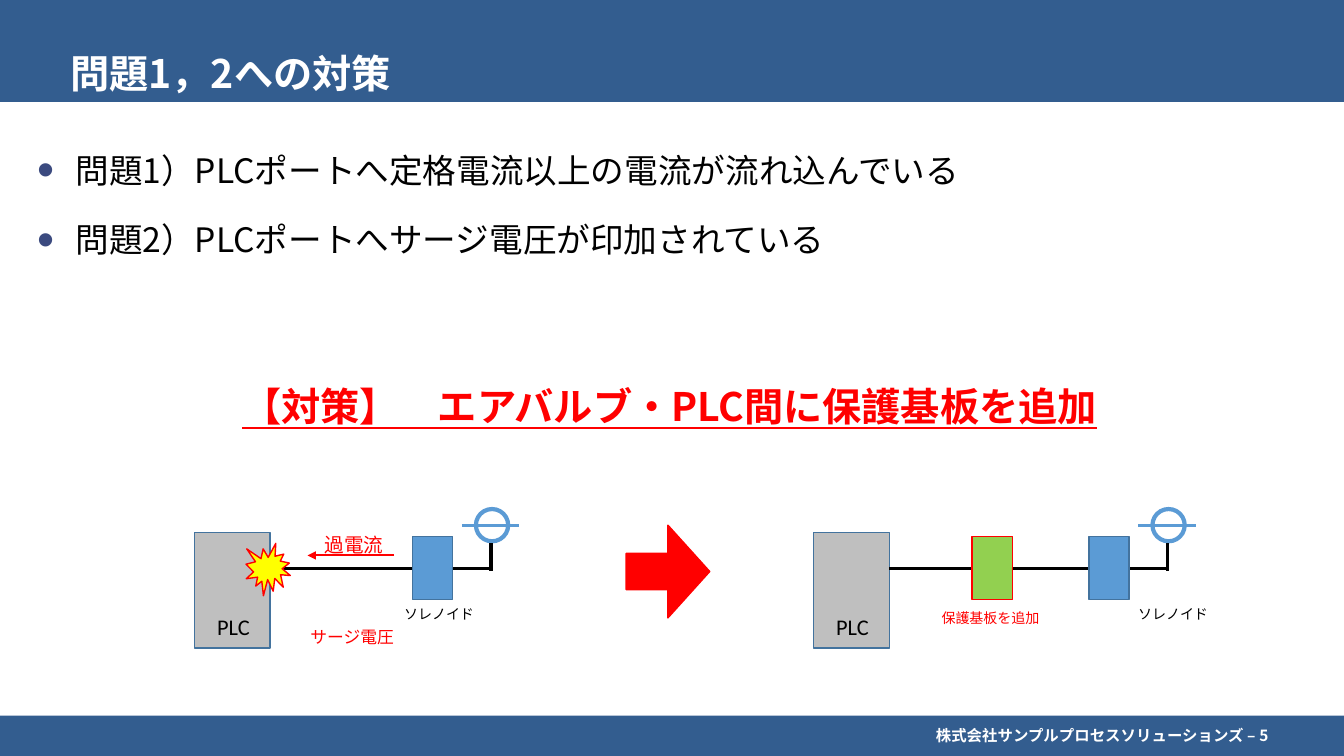
from pptx import Presentation
from pptx.dml.color import RGBColor
from pptx.enum.shapes import MSO_CONNECTOR, MSO_SHAPE
from pptx.enum.text import MSO_ANCHOR, PP_ALIGN
from pptx.oxml.ns import qn
from pptx.util import Inches, Pt
from lxml import etree

CELL = Inches(0.1)
COLUMNS, ROWS = 133.3, 75
NAVY = RGBColor(0x33, 0x5D, 0x8F)
BULLET = RGBColor(0x3B, 0x4A, 0x7F)
BLUE = RGBColor(0x5B, 0x9B, 0xD5)
EDGE = RGBColor(0x43, 0x73, 0x9E)
GREY = RGBColor(0xBF, 0xBF, 0xBF)
GREEN = RGBColor(0x92, 0xD0, 0x50)
YELLOW = RGBColor(0xFF, 0xFF, 0x00)
RED = RGBColor(0xFF, 0x00, 0x00)
BLACK = RGBColor(0x00, 0x00, 0x00)
WHITE = RGBColor(0xFF, 0xFF, 0xFF)
GOTHIC, LATIN = "Noto Sans CJK JP", "Calibri"
RECTANGLE, OVAL = MSO_SHAPE.RECTANGLE, MSO_SHAPE.OVAL
BURST, ARROW = MSO_SHAPE.EXPLOSION1, MSO_SHAPE.RIGHT_ARROW
STRAIGHT = MSO_CONNECTOR.STRAIGHT
TOP, MIDDLE, BOTTOM = MSO_ANCHOR.TOP, MSO_ANCHOR.MIDDLE, MSO_ANCHOR.BOTTOM
LEFT, CENTER, RIGHT = PP_ALIGN.LEFT, PP_ALIGN.CENTER, PP_ALIGN.RIGHT


def cells(*values):
    return [round(value * CELL) for value in values]


def add_block(shapes, kind, box, fill=None, line=None, width=1):
    block = shapes.add_shape(kind, *cells(*box))
    block.shadow.inherit = False
    if fill is None:
        block.fill.background()
    else:
        block.fill.solid()
        block.fill.fore_color.rgb = fill
    if line is None:
        block.line.fill.background()
    else:
        block.line.color.rgb = line
        block.line.width = Pt(width)
    return block


def add_wire(shapes, start, end, color=BLACK, width=2.25):
    wire = shapes.add_connector(STRAIGHT, *cells(*start, *end))
    wire.line.color.rgb = color
    wire.line.width = Pt(width)
    etree.SubElement(wire._element.spPr, qn("a:effectLst"))
    return wire


def add_text(shapes, box, lines, size, color, font=GOTHIC, bold=False,
             align=LEFT, anchor=TOP, wrap=True):
    holder = shapes.add_textbox(*cells(*box))
    frame = holder.text_frame
    frame.text = "\n".join(lines)
    frame.word_wrap = wrap
    frame.vertical_anchor = anchor
    for para in frame.paragraphs:
        para.alignment = align
        for span in para.runs:
            span.font.size = Pt(size)
            span.font.bold = bold
            span.font.color.rgb = color
            span.font.name = font
            if font == GOTHIC:
                etree.SubElement(span.font._element, qn("a:ea"), typeface=font)
    return frame


def add_label(shapes, box, text, size, color=BLACK):
    add_text(shapes, box, [text], size, color, font=LATIN, wrap=False)


def add_bullet(para):
    properties = para._p.get_or_add_pPr()
    properties.set("marL", str(Inches(0.38)))
    properties.set("indent", str(Inches(-0.38)))
    color = etree.SubElement(properties, qn("a:buClr"))
    etree.SubElement(color, qn("a:srgbClr"), val=str(BULLET))
    etree.SubElement(properties, qn("a:buSzPct"), val="145000")
    etree.SubElement(properties, qn("a:buFont"), typeface="Arial")
    etree.SubElement(properties, qn("a:buChar"), char="•")


def draw_header(page, box, title):
    left, top, width, height = box
    add_block(page.shapes, RECTANGLE, box, NAVY)
    add_text(page.shapes, (left + 6, top + 3.4, width - 12.5, height - 3.4),
             [title], 28, WHITE, bold=True, anchor=BOTTOM)


def draw_footer(page, box, text):
    left, top, width, height = box
    add_block(page.shapes, RECTANGLE, box, NAVY)
    add_text(page.shapes, (left + 6, top, width - 12.5, height), [text], 11,
             WHITE, bold=True, align=RIGHT, anchor=MIDDLE)


def draw_problems(page, box, problems):
    frame = add_text(page.shapes, box, problems, 24, BLACK, anchor=MIDDLE)
    for index, para in enumerate(frame.paragraphs):
        if index:
            para.space_before = Pt(21)
        add_bullet(para)


def draw_countermeasure(page, box, text):
    frame = add_text(page.shapes, box, [text], 28, RED, bold=True,
                     align=CENTER, anchor=MIDDLE)
    frame.paragraphs[0].runs[0].font.underline = True


def draw_circuit(page, box):
    left, top, width, height = box
    shapes = page.shapes.add_group_shape().shapes
    plc_top, wire_y, valve_y = top + 2.3, top + 5.9, top + 1.6
    valve_x = left + width - 2.8
    add_block(shapes, RECTANGLE, (left, plc_top, 7.5, height - 2.3), GREY, EDGE)
    add_wire(shapes, (left + 7.5, wire_y), (valve_x, wire_y))
    add_wire(shapes, (valve_x - 2.9, valve_y), (valve_x + 2.8, valve_y), BLUE)
    add_block(shapes, OVAL, (valve_x - 1.5, top, 3.2, 3.2), line=BLUE, width=3)
    add_block(shapes, RECTANGLE, (valve_x - 7.8, top + 2.7, 4, 6.3), BLUE, EDGE)
    add_wire(shapes, (valve_x, wire_y + 0.2), (valve_x, top + 3.4))
    add_label(shapes, (left + 1.25, top + 9.8, 5.4, 3.7), "PLC", 16)
    return shapes


def draw_faulty_circuit(page, box):
    left, top = box[:2]
    shapes = draw_circuit(page, box)
    add_block(shapes, BURST, (left + 5.1, top + 3.4, 4.4, 5.2), YELLOW, RED)
    surge = add_wire(shapes, (left + 19.8, top + 4.6),
                     (left + 11.2, top + 4.6), RED, 1.5)
    etree.SubElement(surge.line._get_or_add_ln(), qn("a:tailEnd"),
                     type="triangle")
    add_label(shapes, (left + 19.8, top + 9.1, 9.2, 2.7), "ソレノイド", 10)
    add_label(shapes, (left + 11.9, top + 1.9, 8.5, 3.4), "過電流", 14, RED)
    add_label(shapes, (left + 10.5, top + 11.2, 10.9, 3), "サージ電圧", 12, RED)


def draw_protected_circuit(page, box):
    left, top = box[:2]
    shapes = draw_circuit(page, box)
    add_block(shapes, RECTANGLE, (left + 15.7, top + 2.7, 4, 6.3), GREEN, RED)
    add_label(shapes, (left + 31.2, top + 9.1, 9.2, 2.7), "ソレノイド", 10)
    add_label(shapes, (left + 11.7, top + 9.5, 12.1, 2.7), "保護基板を追加", 10, RED)


def draw_transition(page, box):
    arrow = add_block(page.shapes, ARROW, box, RED, RED)
    arrow.adjustments[0] = 0.39
    arrow.adjustments[1] = 0.5


def main():
    deck = Presentation()
    deck.slide_width, deck.slide_height = cells(COLUMNS, ROWS)
    page = deck.slides.add_slide(deck.slide_layouts[6])
    draw_footer(page, (0, ROWS - 4, COLUMNS, 4),
                "株式会社サンプルプロセスソリューションズ – 5")
    draw_header(page, (0, 0, COLUMNS, 10.1), "問題1，2への対策")
    draw_problems(page, (2.7, 12.2, 127.4, 16.2), [
        "問題1）PLCポートへ定格電流以上の電流が流れ込んでいる",
        "問題2）PLCポートへサージ電圧が印加されている",
    ])
    draw_countermeasure(page, (2.7, 36.3, 127.4, 8),
                        "【対策】　エアバルブ・PLC間に保護基板を追加")
    draw_faulty_circuit(page, (19.3, 50.5, 32.2, 13.8))
    draw_protected_circuit(page, (80.7, 50.5, 37.9, 13.8))
    draw_transition(page, (62.1, 52.1, 8.3, 9.2))
    deck.save("out.pptx")


if __name__ == "__main__":
    main()
